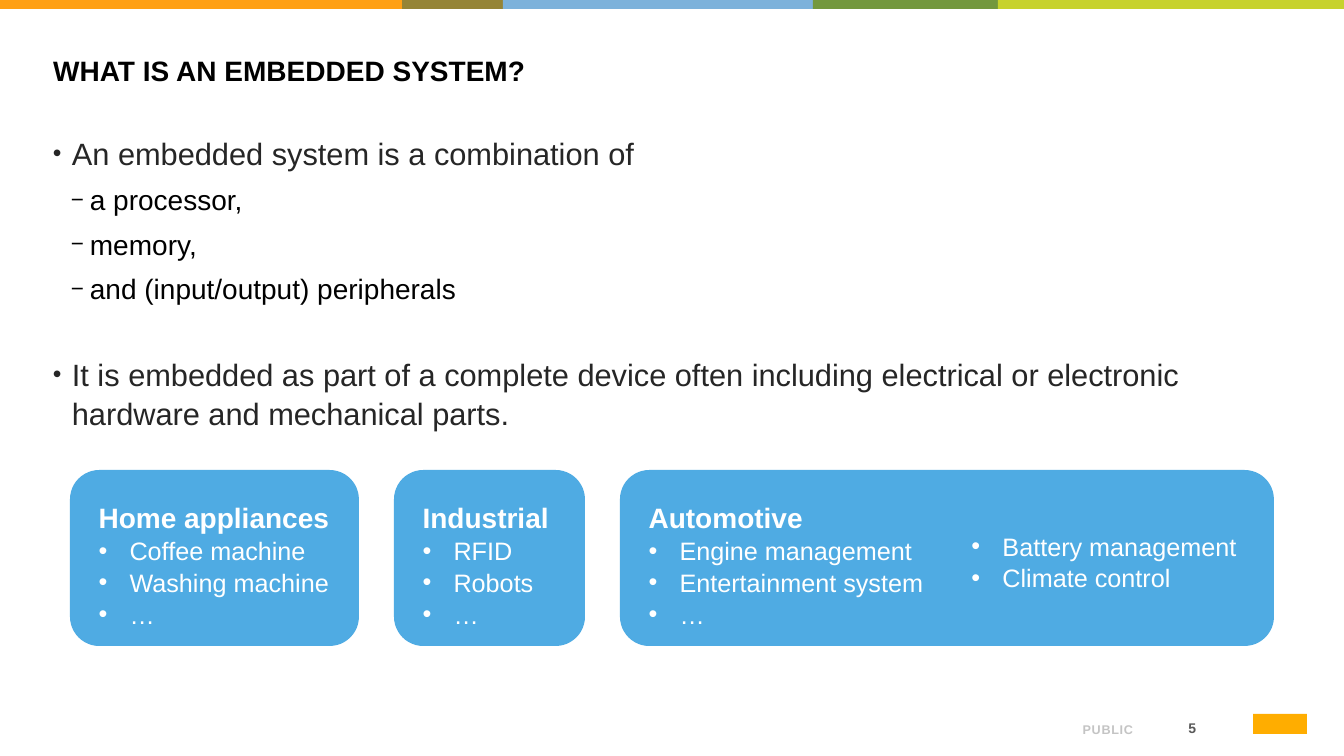
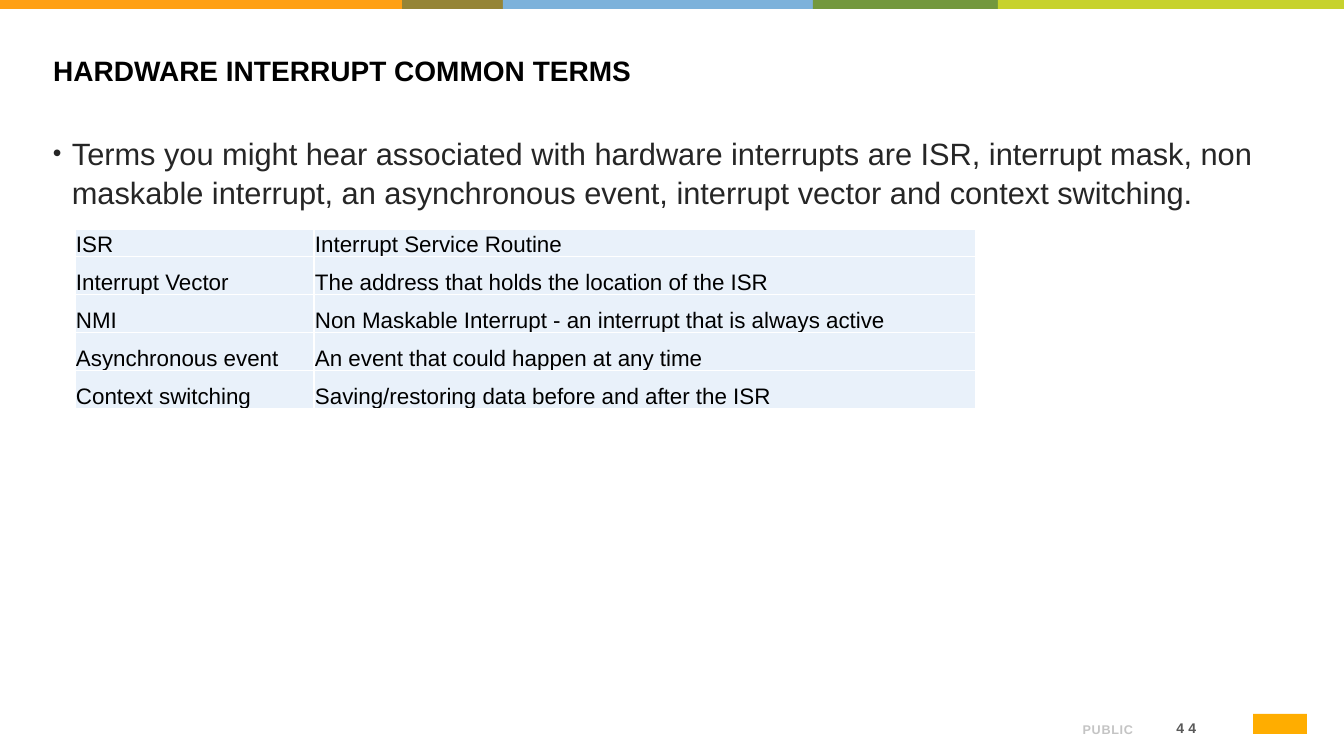
"""Build two training slides on embedded systems and hardware interrupts."""
from dataclasses import dataclass
from typing import Any, NamedTuple, Optional

import pptx
import pptx.dml.color
import pptx.enum.shapes
import pptx.enum.text
import pptx.oxml.ns
import pptx.presentation
import pptx.shapes.autoshape
import pptx.slide
import pptx.table
import pptx.text.text
import pptx.util
from lxml import etree

SLIDE_WIDTH, SLIDE_HEIGHT = 1344, 756
EMU_PER_PX = 12192000 / SLIDE_WIDTH
FONT = "Arial"
BLACK, WHITE, DARK = "000000", "FFFFFF", "262626"
CARD_BLUE, CELL_BLUE = "4FABE3", "E9F1FA"
LINE_SPACING = 1.05
ANCHOR = pptx.enum.text.MSO_ANCHOR
ALIGN = pptx.enum.text.PP_ALIGN
SHAPE = pptx.enum.shapes.MSO_SHAPE


class Box(NamedTuple):
    left: int
    top: int
    width: int
    height: int


class Band(NamedTuple):
    width: int
    color: str


@dataclass(frozen=True)
class TextStyle:
    size: int
    color: str
    bold: bool = False
    tracking: int = 0


@dataclass(frozen=True)
class Bullet:
    symbol: str
    margin: int
    hanging: int
    percent: int = 100


@dataclass(frozen=True)
class Line:
    text: str
    style: TextStyle
    bullet: Optional[Bullet] = None
    before: float = 0
    after: float = 0


@dataclass(frozen=True)
class Card:
    box: Box
    heading: str
    items: tuple[str, ...]


TITLE_STYLE = TextStyle(20, BLACK, bold=True)
POINT_STYLE = TextStyle(22, DARK)
SUBPOINT_STYLE = TextStyle(20, BLACK)
HEADING_STYLE = TextStyle(20, WHITE, bold=True)
ITEM_STYLE = TextStyle(18, WHITE)
TERM_STYLE = TextStyle(16, BLACK)
PAGE_STYLE = TextStyle(10, "595959", bold=True, tracking=300)
PUBLIC_STYLE = TextStyle(9, "C4C4C4", bold=True, tracking=50)

POINT_BULLET = Bullet("•", 19, 19, 80)
SUBPOINT_BULLET = Bullet("−", 37, 19, 80)
ITEM_BULLET = Bullet("•", 31, 31)

TITLE_BOX = Box(43, 48, 1260, 72)
BODY_BOX = Box(43, 128, 1260, 514)
PUBLIC_BOX = Box(858, 708, 285, 34)
PAGE_BOX = Box(1137, 713, 66, 30)
LOGO_BOX = Box(1253, 714, 54, 20)
BAND_HEIGHT = 9
BANDS = (
    Band(402, "FFA015"),
    Band(101, "958436"),
    Band(310, "7DB2DB"),
    Band(185, "73983E"),
    Band(346, "C7D22D"),
)

CARD_LEFT, CARD_TOP, CARD_HEIGHT, CARD_GAP = 70, 470, 176, 35
CARD_CONTENT = (
    (289, "Home appliances", ("Coffee machine", "Washing machine", "…")),
    (191, "Industrial", ("RFID", "Robots", "…")),
    (654, "Automotive", ("Engine management", "Entertainment system", "…")),
)
EXTRA_CARD = Card(Box(946, 504, 320, 113), "", ("Battery management", "Climate control"))

TABLE_LEFT, TABLE_TOP = 75, 229
COLUMN_WIDTHS = (239, 662)
FIRST_ROW_HEIGHT, ROW_HEIGHT = 25, 38
TERMS = (
    ("ISR", "Interrupt Service Routine"),
    ("Interrupt Vector", "The address that holds the location of the ISR"),
    ("NMI", "Non Maskable Interrupt - an interrupt that is always active"),
    ("Asynchronous event", "An event that could happen at any time"),
    ("Context switching", "Saving/restoring data before and after the ISR"),
)


def px(length: int) -> pptx.util.Emu:
    return pptx.util.Emu(round(length * EMU_PER_PX))


def rgb(color: str) -> pptx.dml.color.RGBColor:
    return pptx.dml.color.RGBColor.from_string(color)


def set_attributes(target: Any, values: dict[str, Any]) -> None:
    for name, value in values.items():
        setattr(target, name, value)


def emu_box(box: Box) -> list[pptx.util.Emu]:
    return [px(length) for length in box]


def add_element(parent: Any, tag: str, **attributes: str) -> Any:
    return etree.SubElement(parent, pptx.oxml.ns.qn(tag), attributes)


def add_bullet(paragraph: pptx.text.text._Paragraph, bullet: Bullet) -> None:
    properties = paragraph._p.get_or_add_pPr()
    properties.set("marL", str(px(bullet.margin)))
    properties.set("indent", str(-px(bullet.hanging)))
    add_element(properties, "a:buSzPct", val=str(bullet.percent * 1000))
    add_element(properties, "a:buFont", typeface=FONT)
    add_element(properties, "a:buChar", char=bullet.symbol)


def add_run(paragraph: pptx.text.text._Paragraph, text: str, style: TextStyle) -> None:
    run = paragraph.add_run()
    run.text = text
    set_attributes(run.font, {"name": FONT, "size": pptx.util.Pt(style.size), "bold": style.bold})
    run.font.color.rgb = rgb(style.color)
    if style.tracking:
        run._r.get_or_add_rPr().set("spc", str(style.tracking))


def write_lines(frame: pptx.text.text.TextFrame, lines: list[Line],
                spacing: float = 1.0, align: Any = ALIGN.LEFT) -> None:
    for index, line in enumerate(lines):
        paragraph = frame.add_paragraph() if index else frame.paragraphs[0]
        set_attributes(paragraph, {
            "alignment": align,
            "line_spacing": spacing,
            "space_before": pptx.util.Pt(line.before),
            "space_after": pptx.util.Pt(line.after),
        })
        if line.bullet:
            add_bullet(paragraph, line.bullet)
        add_run(paragraph, line.text, line.style)


def add_text(slide: pptx.slide.Slide, box: Box, lines: list[Line], anchor: Any = ANCHOR.TOP,
             spacing: float = 1.0, align: Any = ALIGN.LEFT) -> pptx.text.text.TextFrame:
    frame = slide.shapes.add_textbox(*emu_box(box)).text_frame
    set_attributes(frame, {"word_wrap": True, "vertical_anchor": anchor})
    write_lines(frame, lines, spacing, align)
    return frame


def add_filled_shape(slide: pptx.slide.Slide, kind: Any, box: Box,
                     color: str) -> pptx.shapes.autoshape.Shape:
    shape = slide.shapes.add_shape(kind, *emu_box(box))
    shape.shadow.inherit = False
    shape.fill.solid()
    shape.fill.fore_color.rgb = rgb(color)
    shape.line.fill.background()
    return shape


def add_base_slide(presentation: pptx.presentation.Presentation, title: str,
                   page: int) -> pptx.slide.Slide:
    slide = presentation.slides.add_slide(presentation.slide_layouts[5])
    left = 0
    for band in BANDS:
        add_filled_shape(slide, SHAPE.RECTANGLE, Box(left, 0, band.width, BAND_HEIGHT), band.color)
        left += band.width
    placeholder = slide.shapes.title
    set_attributes(placeholder, dict(zip(Box._fields, emu_box(TITLE_BOX))))
    set_attributes(placeholder.text_frame, {
        "word_wrap": True,
        "vertical_anchor": ANCHOR.TOP,
        "auto_size": pptx.enum.text.MSO_AUTO_SIZE.NONE,
    })
    write_lines(placeholder.text_frame, [Line(title, TITLE_STYLE)])
    add_text(slide, PUBLIC_BOX, [Line("PUBLIC", PUBLIC_STYLE)], ANCHOR.BOTTOM, align=ALIGN.RIGHT)
    page_frame = add_text(slide, PAGE_BOX, [Line(str(page), PAGE_STYLE)], ANCHOR.MIDDLE,
                          align=ALIGN.RIGHT)
    set_attributes(page_frame, {"margin_left": px(7), "margin_right": px(7),
                                "margin_top": px(4), "margin_bottom": px(4)})
    add_filled_shape(slide, SHAPE.RECTANGLE, LOGO_BOX, "FFAD00")
    return slide


def add_card(slide: pptx.slide.Slide, card: Card) -> None:
    frame = add_filled_shape(slide, SHAPE.ROUNDED_RECTANGLE, card.box, CARD_BLUE).text_frame
    set_attributes(frame, {
        "word_wrap": True,
        "vertical_anchor": ANCHOR.TOP,
        "margin_left": px(20),
        "margin_right": px(10),
        "margin_top": px(20),
        "margin_bottom": px(20),
    })
    heading = [Line(card.heading, HEADING_STYLE)] if card.heading else []
    items = [Line(item, ITEM_STYLE, ITEM_BULLET) for item in card.items]
    write_lines(frame, heading + items, LINE_SPACING)


def add_cell_borders(cell: pptx.table._Cell, color: str) -> None:
    properties = cell._tc.get_or_add_tcPr()
    for index, side in enumerate(("a:lnL", "a:lnR", "a:lnT", "a:lnB")):
        border = etree.Element(pptx.oxml.ns.qn(side), w=str(pptx.util.Pt(1)))
        add_element(add_element(border, "a:solidFill"), "a:srgbClr", val=color)
        properties.insert(index, border)


def add_terms_table(slide: pptx.slide.Slide) -> None:
    heights = [FIRST_ROW_HEIGHT] + [ROW_HEIGHT] * (len(TERMS) - 1)
    box = Box(TABLE_LEFT, TABLE_TOP, sum(COLUMN_WIDTHS), sum(heights))
    table = slide.shapes.add_table(len(TERMS), len(COLUMN_WIDTHS), *emu_box(box)).table
    set_attributes(table, {"first_row": False, "horz_banding": False})
    for column, width in zip(table.columns, COLUMN_WIDTHS):
        column.width = px(width)
    for row, height, texts in zip(table.rows, heights, TERMS):
        row.height = px(height)
        for cell, text in zip(row.cells, texts):
            set_attributes(cell, {
                "vertical_anchor": ANCHOR.BOTTOM,
                "margin_left": px(1),
                "margin_right": px(1),
                "margin_top": px(1),
                "margin_bottom": 0,
            })
            cell.fill.solid()
            cell.fill.fore_color.rgb = rgb(CELL_BLUE)
            add_cell_borders(cell, WHITE)
            write_lines(cell.text_frame, [Line(text, TERM_STYLE)])


def build_definition_slide(presentation: pptx.presentation.Presentation) -> None:
    slide = add_base_slide(presentation, "WHAT IS AN EMBEDDED SYSTEM?", 5)
    parts = ("a processor,", "memory,", "and (input/output) peripherals")
    add_text(slide, BODY_BOX, [
        Line("An embedded system is a combination of", POINT_STYLE, POINT_BULLET, after=0.8),
        *(Line(part, SUBPOINT_STYLE, SUBPOINT_BULLET, 5.8, 0.8) for part in parts),
        Line("It is embedded as part of a complete device often including electrical or "
             "electronic hardware and mechanical parts.", POINT_STYLE, POINT_BULLET, 34),
    ], spacing=LINE_SPACING)
    left = CARD_LEFT
    for width, heading, items in CARD_CONTENT:
        add_card(slide, Card(Box(left, CARD_TOP, width, CARD_HEIGHT), heading, items))
        left += width + CARD_GAP
    add_card(slide, EXTRA_CARD)


def build_terms_slide(presentation: pptx.presentation.Presentation) -> None:
    slide = add_base_slide(presentation, "HARDWARE INTERRUPT COMMON TERMS", 44)
    add_text(slide, BODY_BOX, [
        Line("Terms you might hear associated with hardware interrupts are ISR, interrupt mask, "
             "non maskable interrupt, an asynchronous event, interrupt vector and context "
             "switching.", POINT_STYLE, POINT_BULLET),
    ], spacing=LINE_SPACING)
    add_terms_table(slide)


def main() -> None:
    presentation = pptx.Presentation()
    set_attributes(presentation, {"slide_width": px(SLIDE_WIDTH), "slide_height": px(SLIDE_HEIGHT)})
    build_definition_slide(presentation)
    build_terms_slide(presentation)
    presentation.save("out.pptx")


if __name__ == "__main__":
    main()
